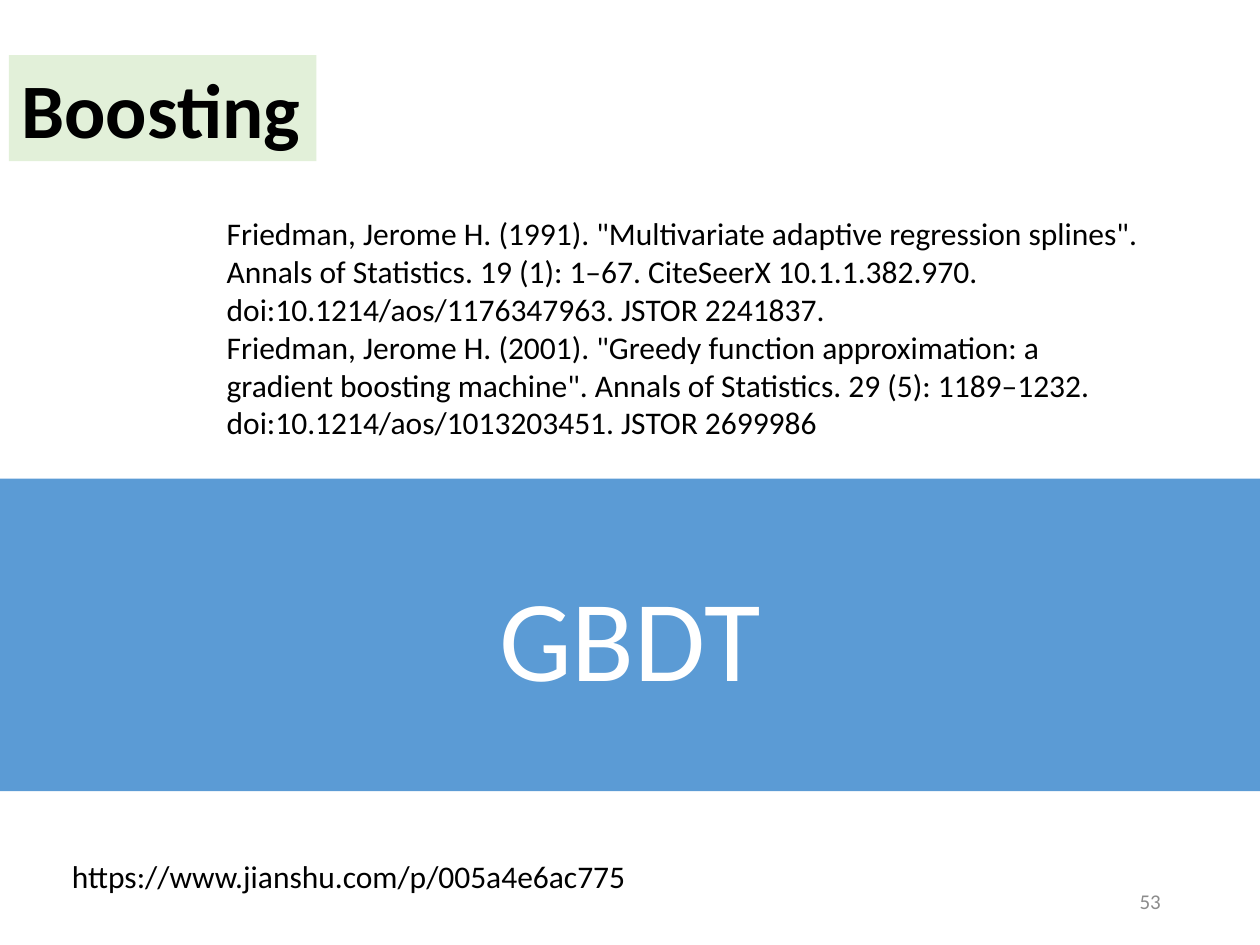
from pptx import Presentation
from pptx.dml.color import RGBColor
from pptx.enum.shapes import MSO_SHAPE
from pptx.enum.text import MSO_ANCHOR, PP_ALIGN
from pptx.util import Cm, Pt

BLUE = RGBColor(0x5B, 0x9B, 0xD5)
PALE_GREEN = RGBColor(0xE2, 0xF0, 0xD9)
WHITE = RGBColor(0xFF, 0xFF, 0xFF)
BLACK = RGBColor(0x00, 0x00, 0x00)
GREY = RGBColor(0x8C, 0x8C, 0x8C)

CITATIONS = [
    'Friedman, Jerome H. (1991). "Multivariate adaptive regression splines". '
    "Annals of Statistics. 19 (1): 1–67. CiteSeerX 10.1.1.382.970. "
    "doi:10.1214/aos/1176347963. JSTOR 2241837.",
    'Friedman, Jerome H. (2001). "Greedy function approximation: a gradient '
    'boosting machine". Annals of Statistics. 29 (5): 1189–1232. '
    "doi:10.1214/aos/1013203451. JSTOR 2699986",
]


def add_text(slide, box, *lines, size=18, color=BLACK, bold=False, fill=None,
             align=PP_ALIGN.LEFT, anchor=MSO_ANCHOR.TOP, wrap=True):
    if fill is None:
        holder = slide.shapes.add_textbox(*box)
    else:
        holder = slide.shapes.add_shape(MSO_SHAPE.RECTANGLE, *box)
        holder.shadow.inherit = False
        holder.fill.solid()
        holder.fill.fore_color.rgb = fill
        holder.line.fill.background()
    frame = holder.text_frame
    frame.word_wrap = wrap
    frame.vertical_anchor = anchor
    for index, line in enumerate(lines):
        paragraph = frame.add_paragraph() if index else frame.paragraphs[0]
        paragraph.alignment = align
        run = paragraph.add_run()
        run.text = line
        run.font.name = "Calibri"
        run.font.size = Pt(size)
        run.font.bold = bold
        run.font.color.rgb = color


def add_header(slide, left, top, width, height):
    add_text(slide, (left + Cm(0.18), top + Cm(1.11), Cm(6.2), Cm(2.14)), "Boosting",
             size=44, bold=True, fill=PALE_GREEN, wrap=False)
    add_text(slide, (left + Cm(4.32), top + Cm(4.2), width - Cm(6.35), height - Cm(4.77)),
             *CITATIONS)


def add_topic_band(slide, left, top, width, height):
    add_text(slide, (left, top, width, height), "GBDT", size=66, color=WHITE, fill=BLUE,
             align=PP_ALIGN.CENTER, anchor=MSO_ANCHOR.MIDDLE)


def add_footer(slide, left, top, width, height):
    line_height = Cm(1.02)
    add_text(slide, (left + Cm(1.2), top + Cm(1.2), Cm(11.8), line_height),
             "https://www.jianshu.com/p/005a4e6ac775", wrap=False)
    number_width = Cm(5.72)
    add_text(slide, (left + width - Cm(1.75) - number_width,
                     top + height - Cm(0.38) - line_height, number_width, line_height),
             "53", size=12, color=GREY, align=PP_ALIGN.RIGHT, anchor=MSO_ANCHOR.MIDDLE)


def main():
    deck = Presentation()
    deck.slide_width, deck.slide_height = Cm(25.4), Cm(19.05)
    slide = deck.slides.add_slide(deck.slide_layouts[6])
    width = deck.slide_width
    band_top, band_height = Cm(9.65), Cm(6.3)
    footer_top = band_top + band_height
    add_topic_band(slide, 0, band_top, width, band_height)
    add_header(slide, 0, 0, width, band_top)
    add_footer(slide, 0, footer_top, width, deck.slide_height - footer_top)
    deck.save("out.pptx")


if __name__ == "__main__":
    main()
